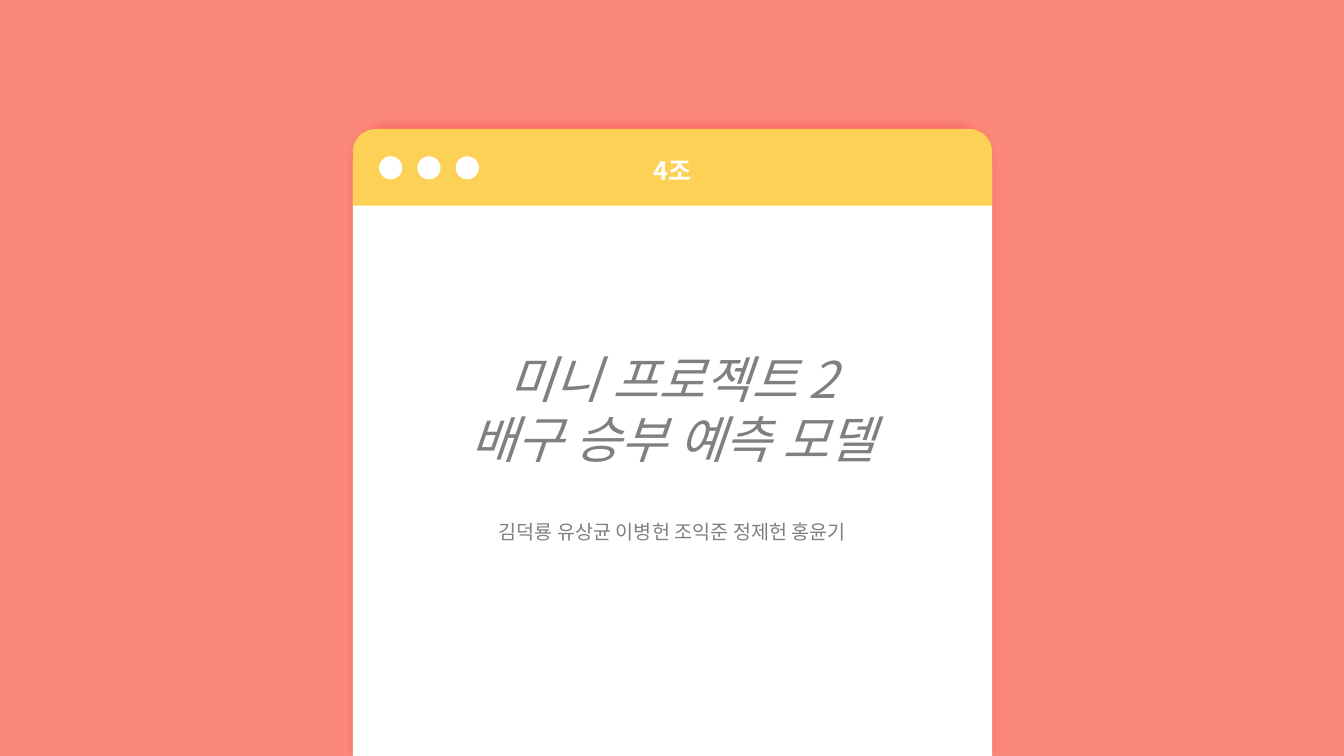
from dataclasses import dataclass

import pptx
import pptx.dml.color
import pptx.enum.shapes
import pptx.enum.text
import pptx.oxml
import pptx.oxml.ns
import pptx.util
from pptx.util import Inches

FONT = "Noto Sans CJK KR"
CORAL, YELLOW, WHITE, GRAY = "FC8879", "FDD156", "FFFFFF", "808080"
CARD_LEFT, CARD_TOP, CARD_WIDTH = 3.5, 1.28, 6.34
SHAPE = pptx.enum.shapes.MSO_SHAPE


@dataclass
class Panel:
    height: float
    corner: float
    color: str


@dataclass
class TextStyle:
    size: int
    color: str
    bold: bool = False
    italic: bool = False
    line_pt: int | None = None


def rgb(color: str) -> pptx.dml.color.RGBColor:
    return pptx.dml.color.RGBColor.from_string(color)


def paint(sp, color: str) -> None:
    sp.shadow.inherit = False
    sp.fill.solid()
    sp.fill.fore_color.rgb = rgb(color)
    sp.line.fill.background()


def add_panel(s, panel: Panel):
    sp = s.shapes.add_shape(SHAPE.ROUND_2_SAME_RECTANGLE, Inches(CARD_LEFT), Inches(CARD_TOP),
                            Inches(CARD_WIDTH), Inches(panel.height))
    sp.adjustments[0] = panel.corner
    sp.adjustments[1] = 0
    paint(sp, panel.color)
    return sp


def add_glow(sp) -> None:
    """Cast a soft red shadow upwards."""
    effects = sp._element.spPr.find(pptx.oxml.ns.qn("a:effectLst"))
    effects.append(pptx.oxml.parse_xml(
        f'<a:outerShdw {pptx.oxml.ns.nsdecls("a")} blurRad="{pptx.util.Pt(5)}" '
        f'dist="{pptx.util.Pt(3)}" dir="16200000" algn="b" rotWithShape="0">'
        '<a:srgbClr val="EA252E"><a:alpha val="25000"/></a:srgbClr></a:outerShdw>'))


def write(sp, lines: list[str], style: TextStyle) -> None:
    tf = sp.text_frame
    tf.word_wrap = True
    tf.auto_size = pptx.enum.text.MSO_AUTO_SIZE.NONE
    tf.vertical_anchor = pptx.enum.text.MSO_ANCHOR.MIDDLE
    tf.margin_top = tf.margin_bottom = 0
    tf.text = "\n".join(lines)
    for p in tf.paragraphs:
        p.alignment = pptx.enum.text.PP_ALIGN.CENTER
        p.space_before = pptx.util.Pt(0)
        if style.line_pt:
            p.line_spacing = pptx.util.Pt(style.line_pt)
        font = p.font
        font.name = FONT
        font.size = pptx.util.Pt(style.size)
        font.bold = style.bold
        font.italic = style.italic
        font.color.rgb = rgb(style.color)
        latin = p._p.pPr.find(".//" + pptx.oxml.ns.qn("a:latin"))
        latin.addnext(pptx.oxml.parse_xml(
            f'<a:ea {pptx.oxml.ns.nsdecls("a")} typeface="{FONT}"/>'))


def main() -> None:
    prs = pptx.Presentation()
    prs.slide_width, prs.slide_height = Inches(13.33), Inches(7.5)
    s = prs.slides.add_slide(prs.slide_layouts[5])
    s.background.fill.solid()
    s.background.fill.fore_color.rgb = rgb(CORAL)

    card = add_panel(s, Panel(6.22, 0.06, WHITE))
    add_glow(card)
    header = add_panel(s, Panel(0.76, 0.3, YELLOW))
    write(header, ["4조"], TextStyle(18, WHITE, bold=True))

    dots = s.shapes.add_group_shape()
    for i in range(3):
        dot = dots.shapes.add_shape(SHAPE.OVAL, Inches(3.76 + 0.38 * i), Inches(1.55),
                                    Inches(0.23), Inches(0.23))
        paint(dot, WHITE)

    title = s.shapes.title
    card._element.addnext(title._element)
    title.left, title.top = Inches(CARD_LEFT), Inches(3.45)
    title.width, title.height = Inches(CARD_WIDTH), Inches(1.2)
    write(title, ["미니 프로젝트 2", "배구 승부 예측 모델"],
          TextStyle(36, GRAY, italic=True, line_pt=43))

    members = s.shapes.add_textbox(Inches(CARD_LEFT), Inches(5.1), Inches(CARD_WIDTH), Inches(0.35))
    write(members, ["김덕룡 유상균 이병헌 조익준 정제헌 홍윤기"], TextStyle(14, GRAY))

    prs.save("out.pptx")


if __name__ == "__main__":
    main()
